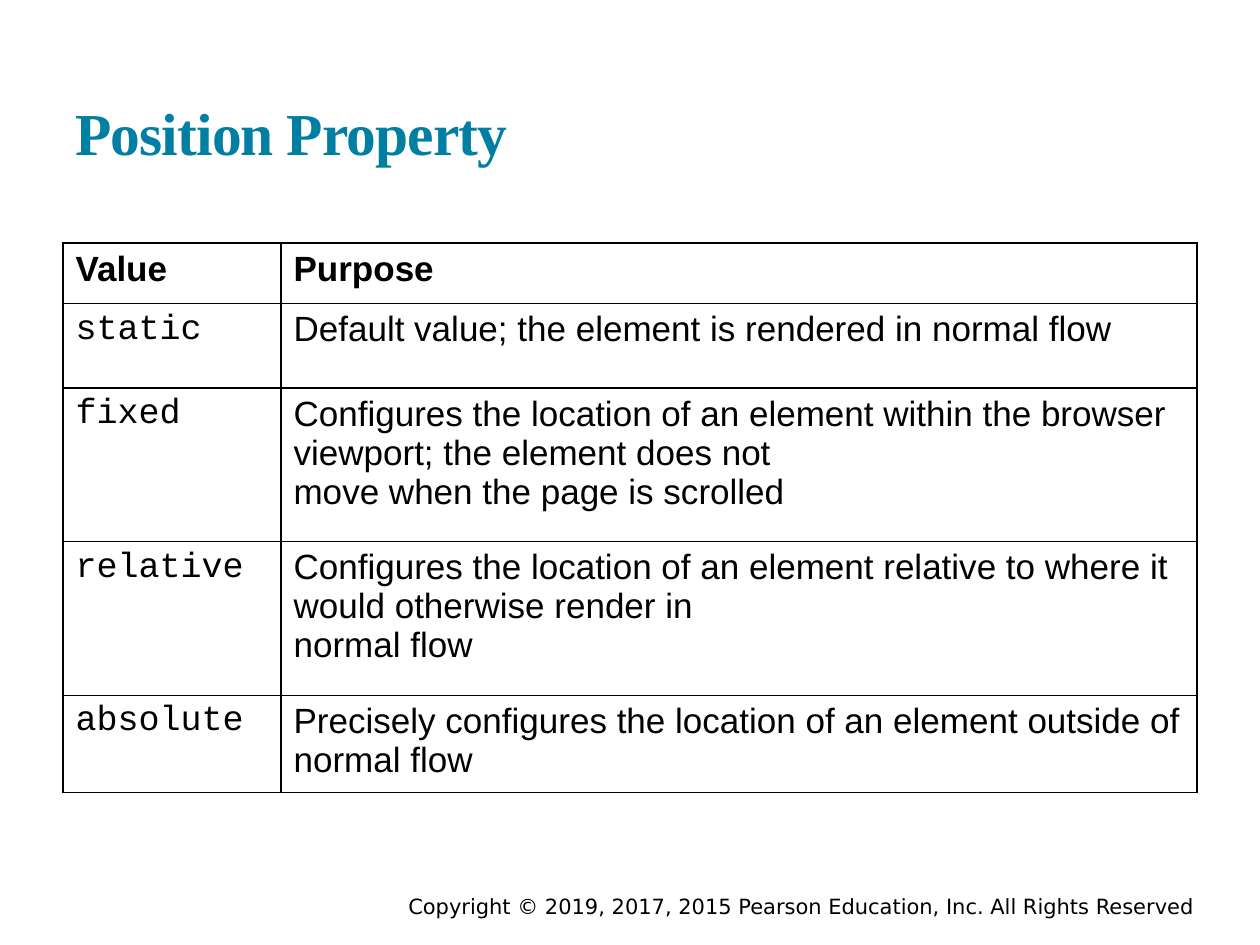
from typing import NamedTuple

from lxml import etree
from pptx import Presentation
from pptx.dml.color import RGBColor
from pptx.enum.text import MSO_ANCHOR, MSO_AUTO_SIZE, PP_ALIGN
from pptx.oxml.ns import qn
from pptx.util import Inches, Pt

LEFT, RIGHT = PP_ALIGN.LEFT, PP_ALIGN.RIGHT
MIDDLE, BOTTOM = MSO_ANCHOR.MIDDLE, MSO_ANCHOR.BOTTOM
GROW = MSO_AUTO_SIZE.SHAPE_TO_FIT_TEXT
COLORS = {"title": "007FA3", "text": "000000", "border": "000000"}


class TextStyle(NamedTuple):
    font: str
    size: float
    color: str = "text"
    bold: bool = False


class PropertyRow(NamedTuple):
    value: str
    purpose: tuple[str, ...]
    height: float


TITLE = TextStyle("Times New Roman", 34, "title", True)
HEADER = TextStyle("Arial", 20, bold=True)
CODE = TextStyle("Courier New", 20)
BODY = TextStyle("Arial", 20)
COPYRIGHT = TextStyle("DejaVu Sans", 12)

COLUMN_WIDTHS = (1.73, 7.27)
ROWS = (
    PropertyRow("Value", ("Purpose",), 0.48),
    PropertyRow("static", ("Default value; the element is rendered in normal flow",), 0.67),
    PropertyRow("fixed", (
        "Configures the location of an element within the browser viewport; the element does not",
        "move when the page is scrolled"), 1.22),
    PropertyRow("relative", (
        "Configures the location of an element relative to where it would otherwise render in",
        "normal flow"), 1.22),
    PropertyRow("absolute", (
        "Precisely configures the location of an element outside of normal flow",), 0.77),
)


def write(frame, lines: tuple[str, ...], style: TextStyle, align=LEFT) -> None:
    for index, line in enumerate(lines):
        paragraph = frame.add_paragraph() if index else frame.paragraphs[0]
        paragraph.alignment = align
        run = paragraph.add_run()
        run.text = line
        run.font.name = style.font
        run.font.size = Pt(style.size)
        run.font.bold = style.bold
        run.font.color.rgb = RGBColor.from_string(COLORS[style.color])


def outline_cell(cell) -> None:
    """Give the cell a thin border on every side and no fill."""
    properties = cell._tc.get_or_add_tcPr()
    for side in ("lnL", "lnR", "lnT", "lnB"):
        line = etree.SubElement(properties, qn(f"a:{side}"), w=str(Pt(1)))
        fill = etree.SubElement(line, qn("a:solidFill"))
        etree.SubElement(fill, qn("a:srgbClr"), val=COLORS["border"])
    cell.fill.background()


def add_copyright(slide) -> None:
    box = slide.shapes.add_textbox(Inches(2.97), Inches(7.07), Inches(6.61), Inches(0.25))
    frame = box.text_frame
    frame.word_wrap = True
    frame.vertical_anchor = MIDDLE
    notice = "Copyright © 2019, 2017, 2015 Pearson Education, Inc. All Rights Reserved"
    write(frame, (notice,), COPYRIGHT, RIGHT)


def format_title(slide) -> None:
    title = slide.shapes.title
    title.left, title.top = Inches(0.5), Inches(0.66)
    title.width, title.height = Inches(9), Inches(0.77)
    frame = title.text_frame
    frame.margin_left = frame.margin_right = Inches(0.1)
    frame.margin_top = frame.margin_bottom = Inches(0.1)
    frame.vertical_anchor = BOTTOM
    frame.auto_size = GROW
    write(frame, ("Position Property",), TITLE)
    frame.paragraphs[0].runs[0].font._element.set("spc", "-50")


def add_property_table(slide) -> None:
    height = sum(row.height for row in ROWS)
    table = slide.shapes.add_table(
        len(ROWS), len(COLUMN_WIDTHS), Inches(0.5), Inches(1.93),
        Inches(sum(COLUMN_WIDTHS)), Inches(height)).table
    table.first_row = table.horz_banding = False
    for column, width in zip(table.columns, COLUMN_WIDTHS):
        column.width = Inches(width)
    for index, row in enumerate(ROWS):
        table.rows[index].height = Inches(row.height)
        styles = (CODE, BODY) if index else (HEADER, HEADER)
        contents = ((row.value,), row.purpose)
        for cell, lines, style in zip(table.rows[index].cells, contents, styles):
            outline_cell(cell)
            write(cell.text_frame, lines, style)


def main() -> None:
    presentation = Presentation()
    presentation.slide_width, presentation.slide_height = Inches(10), Inches(7.5)
    title_only = presentation.slide_layouts[5]
    slide = presentation.slides.add_slide(title_only)
    add_copyright(slide)
    format_title(slide)
    add_property_table(slide)
    presentation.save("out.pptx")


if __name__ == "__main__":
    main()
